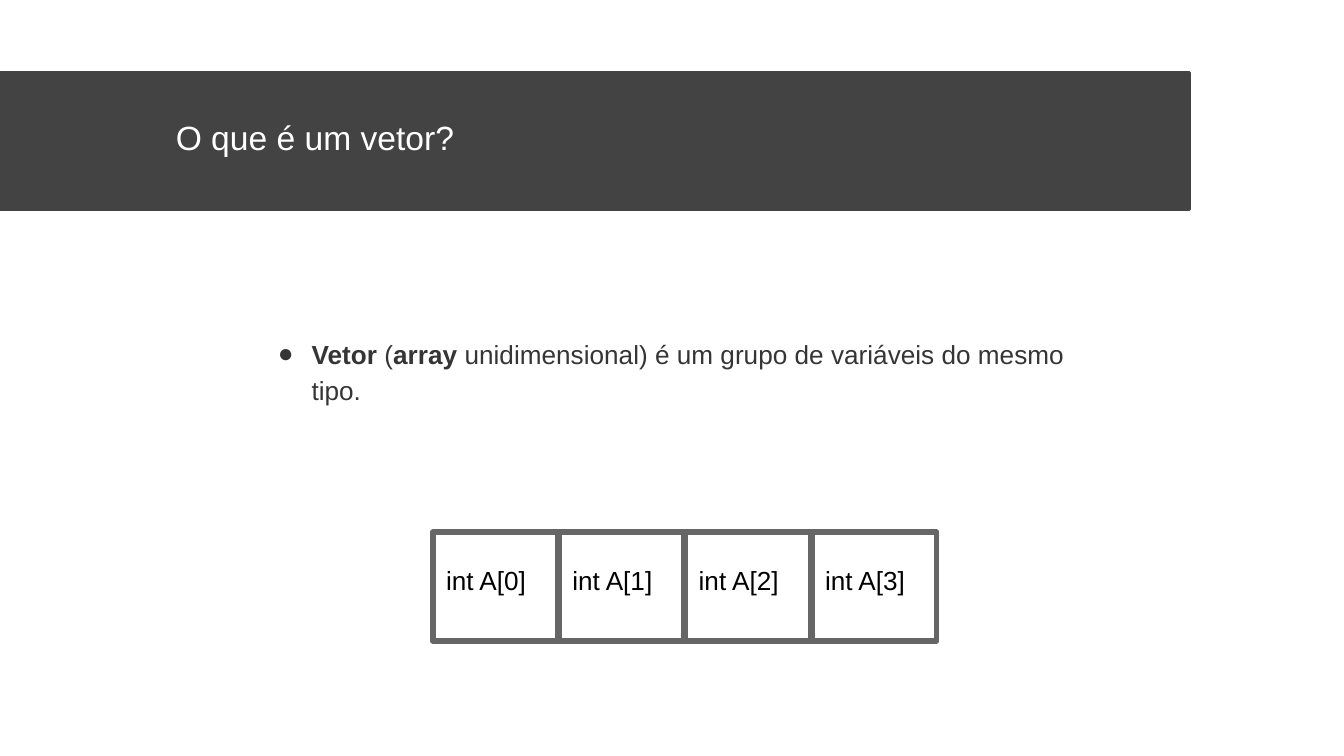
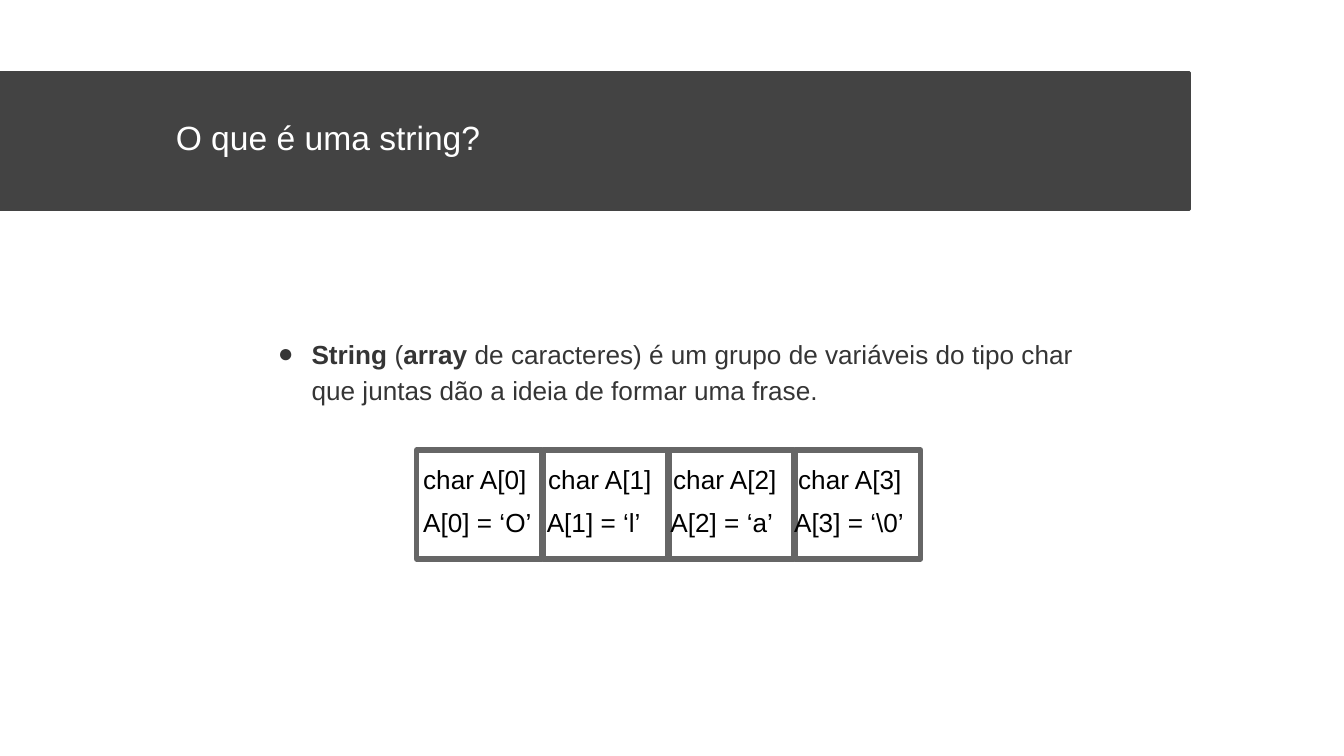
import pptx
import pptx.dml.color
import pptx.enum.shapes
import pptx.oxml.ns
import pptx.util
from lxml import etree

Inches = pptx.util.Inches
Pt = pptx.util.Pt
COLORS = {"band": "434343", "title": "FFFFFF", "body": "353535",
          "edge": "666666", "cell": "000000"}
STEP = 0.94


def rgb(name):
    return pptx.dml.color.RGBColor.from_string(COLORS[name])


def tag(parent, name, **attrs):
    """Append a DrawingML element to parent."""
    return etree.SubElement(parent, pptx.oxml.ns.qn("a:" + name), attrs)


class Deck:
    """Holds the shared style and the current slide."""

    font = "Arial"

    def __init__(self):
        self.prs = pptx.Presentation()
        self.prs.slide_width = Inches(10)
        self.prs.slide_height = Inches(10 * 9 / 16)
        self.slide = None

    def start(self, title):
        """Add a slide with its title band."""
        self.slide = self.prs.slides.add_slide(self.prs.slide_layouts[6])
        self.rect(-1.86, 0.54, 10.71, 1.02, "band", 1.5, "band")
        self.text(1.21, 0.77, 6.71, 0.57, [title], 18, "title")

    def rect(self, x, y, w, h, edge, width, fill=None):
        box = self.slide.shapes.add_shape(
            pptx.enum.shapes.MSO_SHAPE.RECTANGLE,
            Inches(x), Inches(y), Inches(w), Inches(h))
        box.shadow.inherit = False
        if fill:
            box.fill.solid()
            box.fill.fore_color.rgb = rgb(fill)
        else:
            box.fill.background()
        box.line.color.rgb = rgb(edge)
        box.line.width = Pt(width)

    def text(self, x, y, w, h, parts, size, color):
        """Add one paragraph with a run for each part and return it."""
        box = self.slide.shapes.add_textbox(
            Inches(x), Inches(y), Inches(w), Inches(h))
        frame = box.text_frame
        frame.word_wrap = True
        frame.margin_left = frame.margin_right = Inches(0.1)
        frame.margin_top = frame.margin_bottom = Inches(0.1)
        para = frame.paragraphs[0]
        for part in parts:
            run = para.add_run()
            run.text = part
            run.font.name = self.font
            run.font.size = Pt(size)
            run.font.color.rgb = rgb(color)
        return para

    def bullet(self, parts):
        """Add the definition, where every other part is bold."""
        para = self.text(1.72, 2.38, 6.56, 0.91, parts, 14, "body")
        para.line_spacing = 1.15
        for i, run in enumerate(para.runs):
            run.font.bold = i % 2 == 0
        props = para._p.get_or_add_pPr()
        props.set("marL", str(Inches(0.5)))
        props.set("indent", str(Inches(-0.25)))
        tag(props, "buFont", typeface=self.font)
        tag(props, "buChar", char="●")

    def cells(self, x, y):
        for i in range(4):
            self.rect(x + i * STEP, y, 0.93, 0.81, "edge", 3)

    def row(self, x, y, w, words, step=STEP):
        """Add a line of text with one tab stop for each cell."""
        para = self.text(x, y, w, 0.61, ["\t".join(words)], 14, "cell")
        tabs = tag(para._p.get_or_add_pPr(), "tabLst")
        for i in range(1, len(words)):
            tag(tabs, "tab", pos=str(Inches(i * step)), algn="l")


def main():
    deck = Deck()

    deck.start("O que é um vetor?")
    deck.bullet(["Vetor", " (", "array",
                 " unidimensional) é um grupo de variáveis do mesmo tipo."])
    deck.cells(3.22, 3.96)
    deck.row(3.22, 4.1, 3.75, [f"int A[{i}]" for i in range(4)])

    deck.start("O que é uma string?")
    deck.bullet(["String ", "(", "array",
                 " de caracteres) é um grupo de variáveis do tipo char "
                 "que juntas dão a ideia de formar uma frase."])
    deck.cells(3.1, 3.35)
    deck.row(3.05, 3.35, 3.89, [f"char A[{i}]" for i in range(4)], 0.93)
    chars = ["O", "l", "a", r"\0"]
    deck.row(3.05, 3.67, 3.89,
             [f"A[{i}] = ‘{char}’" for i, char in enumerate(chars)], 0.92)

    deck.prs.save("out.pptx")


if __name__ == "__main__":
    main()
